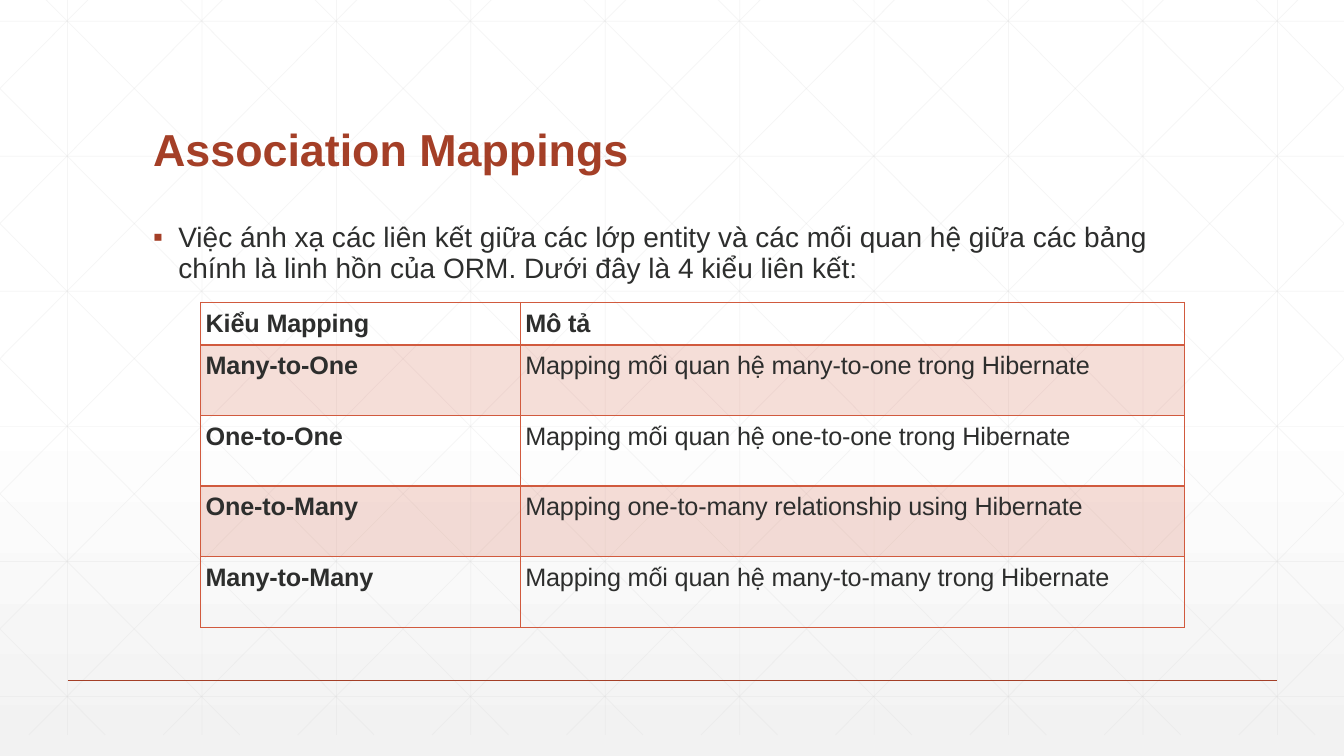
from lxml import etree
from pptx import Presentation
from pptx.dml.color import RGBColor
from pptx.enum.shapes import MSO_CONNECTOR
from pptx.enum.text import MSO_ANCHOR
from pptx.oxml.ns import qn
from pptx.util import Inches, Pt

STRAIGHT = MSO_CONNECTOR.STRAIGHT
BOTTOM, TOP = MSO_ANCHOR.BOTTOM, MSO_ANCHOR.TOP
FONT = "Arial"
COLORS = {
    "white": "FFFFFF",
    "gray": "F2F2F2",
    "grid": "D9D9D9",
    "accent": "A43F27",
    "border": "D15A3E",
    "text": "2D2E2D",
}
WIDTH, HEIGHT = 13.33, 7.5
GRID_TOP, GRID_BOTTOM = -0.21, 7.29
GRID_STEP = 4 / 3
DIAGONAL_RUN = 7.46
COLUMN_WIDTHS = [3.17, 6.59]
ROW_HEIGHTS = [0.41, 0.7, 0.7, 0.7, 0.7]
MAPPINGS = [
    ("Kiểu Mapping", "Mô tả"),
    ("Many-to-One", "Mapping mối quan hệ many-to-one trong Hibernate"),
    ("One-to-One", "Mapping mối quan hệ one-to-one trong Hibernate"),
    ("One-to-Many", "Mapping one-to-many relationship using Hibernate"),
    ("Many-to-Many", "Mapping mối quan hệ many-to-many trong Hibernate"),
]


def rgb(name):
    return RGBColor.from_string(COLORS[name])


def set_alpha(parent, percent):
    for clr in parent.iter(qn("a:srgbClr")):
        etree.SubElement(clr, qn("a:alpha"), val=str(percent * 1000))


def set_background(s):
    fill = s.background.fill
    fill.gradient()
    fill.gradient_angle = 270
    for stop, position, color in zip(fill.gradient_stops, (0.53, 1), ("white", "gray")):
        stop.position = position
        stop.color.rgb = rgb(color)


def add_line(s, x1, y1, x2, y2, color, width, alpha=None):
    line = s.shapes.add_connector(
        STRAIGHT, Inches(x1), Inches(y1), Inches(x2), Inches(y2))
    line.line.color.rgb = rgb(color)
    line.line.width = Pt(width)
    sp_pr = line._element.spPr
    if alpha:
        set_alpha(sp_pr, alpha)
    etree.SubElement(sp_pr, qn("a:effectLst"))


def add_grid_line(s, x1, y1, x2, y2):
    add_line(s, x1, y1, x2, y2, "grid", 0.5, 25)


def add_grid(s):
    for i in range(10):
        x = 0.67 + i * GRID_STEP
        add_grid_line(s, x, GRID_TOP, x, GRID_BOTTOM)
    for i in range(6):
        y = 0.21 + i * 1.34
        add_grid_line(s, 0, y, WIDTH, y)
    slope = (GRID_BOTTOM - GRID_TOP) / DIAGONAL_RUN
    for i in range(-5, 10):
        x = 0.25 + i * GRID_STEP
        x1, x2 = max(x, 0), min(x + DIAGONAL_RUN, WIDTH)
        y1, y2 = (GRID_TOP + (edge - x) * slope for edge in (x1, x2))
        add_grid_line(s, x1, y1, x2, y2)
        add_grid_line(s, WIDTH - x1, y1, WIDTH - x2, y2)


def add_run(p, text, size, color, bold=False):
    r = p.add_run()
    r.text = text
    r.font.name = FONT
    r.font.size = Pt(size)
    r.font.bold = bold
    r.font.color.rgb = rgb(color)
    return r


def add_text(s, top, height, anchor, text, size, color, bold=False):
    sp = s.shapes.add_textbox(Inches(1.42), Inches(top), Inches(10.5), Inches(height))
    tf = sp.text_frame
    tf.word_wrap = True
    tf.vertical_anchor = anchor
    p = tf.paragraphs[0]
    p.line_spacing = 0.9
    add_run(p, text, size, color, bold)
    return p


def add_bullet(p, char, color):
    p_pr = p._p.get_or_add_pPr()
    indent = Inches(0.25)
    p_pr.set("marL", str(indent))
    p_pr.set("indent", str(-indent))
    bu_clr = etree.SubElement(p_pr, qn("a:buClr"))
    etree.SubElement(bu_clr, qn("a:srgbClr"), val=COLORS[color])
    etree.SubElement(p_pr, qn("a:buFont"), typeface=FONT)
    etree.SubElement(p_pr, qn("a:buChar"), char=char)


def set_borders(cell, widths):
    tc_pr = cell._tc.get_or_add_tcPr()
    for i, (side, width) in enumerate(widths.items()):
        ln = etree.Element(qn(f"a:ln{side}"), w=str(Pt(width)))
        fill = etree.SubElement(ln, qn("a:solidFill"))
        etree.SubElement(fill, qn("a:srgbClr"), val=COLORS["border"])
        tc_pr.insert(i, ln)


def fill_cell(cell, text, bold, shaded):
    cell.margin_left = cell.margin_right = Inches(0.05)
    cell.margin_top = cell.margin_bottom = Inches(0.05)
    p = cell.text_frame.paragraphs[0]
    p.line_spacing = 1.07
    p.space_after = Pt(11.2)
    r = add_run(p, text, 18, "text", bold)
    r.font._element.set("spc", "-10")
    if shaded:
        cell.fill.solid()
        cell.fill.fore_color.rgb = rgb("border")
        set_alpha(cell._tc.tcPr, 20)
    else:
        cell.fill.background()


def add_mapping_table(s):
    table = s.shapes.add_table(
        len(MAPPINGS), len(COLUMN_WIDTHS), Inches(1.99), Inches(3),
        Inches(sum(COLUMN_WIDTHS)), Inches(sum(ROW_HEIGHTS))).table
    table.horz_banding = False
    for column, width in zip(table.columns, COLUMN_WIDTHS):
        column.width = Inches(width)
    for i, (row, height) in enumerate(zip(table.rows, ROW_HEIGHTS)):
        row.height = Inches(height)
        for j, cell in enumerate(row.cells):
            fill_cell(cell, MAPPINGS[i][j], i == 0 or j == 0, i % 2 == 1)
            set_borders(cell, {
                "L": 1, "R": 1, "T": 2 if i == 1 else 1, "B": 2 if i == 0 else 1})


def main():
    prs = Presentation()
    prs.slide_width, prs.slide_height = Inches(WIDTH), Inches(HEIGHT)
    s = prs.slides.add_slide(prs.slide_layouts[6])
    set_background(s)
    add_grid(s)
    add_line(s, 0.67, 6.75, 12.67, 6.75, "accent", 1)
    add_text(s, 0.55, 1.25, BOTTOM, "Association Mappings", 32, "accent", True)
    intro = add_text(
        s, 2.17, 4.17, TOP,
        "Việc ánh xạ các liên kết giữa các lớp entity và các mối quan hệ giữa "
        "các bảng chính là linh hồn của ORM. Dưới đây là 4 kiểu liên kết:",
        20, "text")
    add_bullet(intro, "▪", "accent")
    add_mapping_table(s)
    prs.save("out.pptx")


if __name__ == "__main__":
    main()
